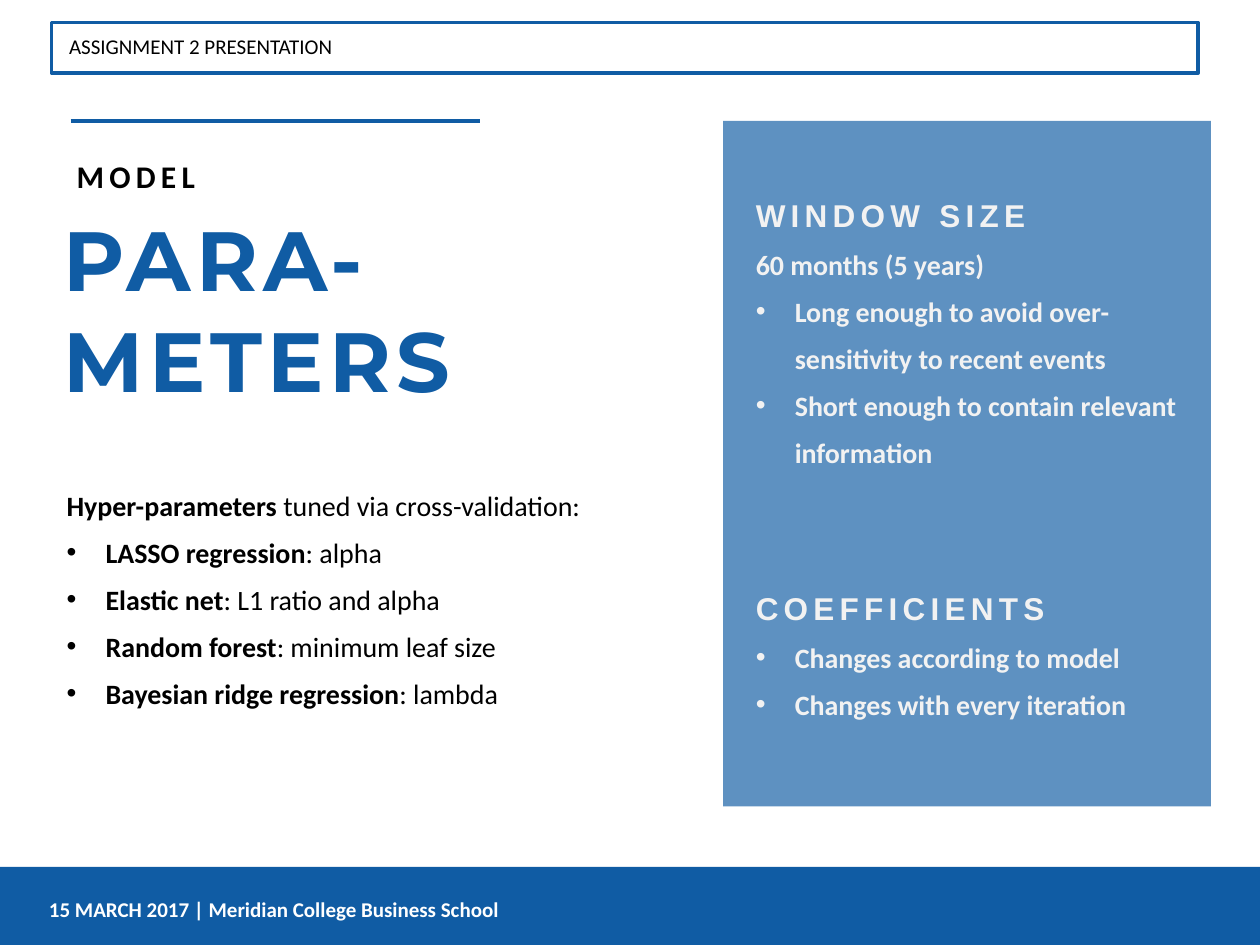
from dataclasses import dataclass
from typing import Optional

from lxml import etree
from pptx import Presentation
from pptx.dml.color import RGBColor
from pptx.enum.shapes import MSO_CONNECTOR, MSO_SHAPE
from pptx.enum.text import MSO_ANCHOR, MSO_AUTO_SIZE, PP_ALIGN
from pptx.oxml.ns import qn
from pptx.util import Emu, Inches, Pt

RECT, STRAIGHT = MSO_SHAPE.RECTANGLE, MSO_CONNECTOR.STRAIGHT
LEFT, TOP, FIT_SHAPE = PP_ALIGN.LEFT, MSO_ANCHOR.TOP, MSO_AUTO_SIZE.SHAPE_TO_FIT_TEXT

W, H = Inches(10), Inches(7.5)
COLORS = {"blue": "105CA4", "white": "FFFFFF", "black": "000000", "pale": "F2F2F2"}
LINE_WIDTH = Pt(2.08)
LOOSE = 1.4  # line spacing of the body text
INDENT = Inches(0.31)


@dataclass
class Box:
    """Position and size in percent of the slide."""
    x: float
    y: float
    w: float
    h: float

    def emu(self) -> list[Emu]:
        pairs = (self.x, W), (self.y, H), (self.w, W), (self.h, H)
        return [Emu(round(share * side / 100)) for share, side in pairs]


@dataclass
class Style:
    size: float
    color: str
    bold: bool = True
    font: str = "Calibri"
    tracking: float = 0


@dataclass
class Para:
    runs: list[tuple[str, Style]]
    spacing: float = 1.0
    bullet: bool = False
    before: float = 0


def rgb(name: str) -> RGBColor:
    return RGBColor.from_string(COLORS[name])


def add_rect(shapes, box: Box, fill: Optional[str] = None, line: Optional[str] = None,
             alpha: Optional[int] = None):
    sp = shapes.add_shape(RECT, *box.emu())
    sp.shadow.inherit = False
    if fill:
        sp.fill.solid()
        sp.fill.fore_color.rgb = rgb(fill)
    else:
        sp.fill.background()
    if line:
        sp.line.color.rgb = rgb(line)
        sp.line.width = LINE_WIDTH
    else:
        sp.line.fill.background()
    if alpha:
        color = sp.fill._xPr.find(".//" + qn("a:srgbClr"))
        etree.SubElement(color, qn("a:alpha"), val=str(alpha * 1000))
    return sp


def add_rule(shapes, x1: float, x2: float, y: float) -> None:
    x1, y, width, _ = Box(x1, y, x2 - x1, 0).emu()
    line = shapes.add_connector(STRAIGHT, x1, y, x1 + width, y)
    line.line.color.rgb = rgb("blue")
    line.line.width = LINE_WIDTH
    etree.SubElement(line._element.spPr, qn("a:effectLst"))


def set_bullet(p) -> None:
    pPr = p._p.get_or_add_pPr()
    pPr.set("marL", str(INDENT))
    pPr.set("indent", str(-INDENT))
    etree.SubElement(pPr, qn("a:buFont"), typeface="Arial")
    etree.SubElement(pPr, qn("a:buChar"), char="•")


def add_text(shapes, box: Box, paras: list[Para]) -> None:
    tf = shapes.add_textbox(*box.emu()).text_frame
    for name, value in {"word_wrap": True, "auto_size": FIT_SHAPE,
                        "vertical_anchor": TOP}.items():
        setattr(tf, name, value)
    for i, para in enumerate(paras):
        p = tf.paragraphs[0] if i == 0 else tf.add_paragraph()
        for name, value in {"alignment": LEFT, "line_spacing": para.spacing,
                            "space_before": Pt(para.before)}.items():
            setattr(p, name, value)
        if para.bullet:
            set_bullet(p)
        for text, style in para.runs:
            r = p.add_run()
            r.text = text
            for name, value in {"size": Pt(style.size), "bold": style.bold,
                                "name": style.font}.items():
                setattr(r.font, name, value)
            r.font.color.rgb = rgb(style.color)
            if style.tracking:
                r.font._element.set("spc", str(round(style.tracking * 100)))


def labelled(label: str, rest: str, bullet: bool = True) -> Para:
    return Para([(label, Style(16, "black")), (rest, Style(16, "black", False))],
                LOOSE, bullet)


def panel_head(text: str, before: float = 0) -> Para:
    return Para([(text, Style(18, "pale", font="Arial", tracking=3))], LOOSE, before=before)


def panel_line(text: str, bullet: bool = True) -> Para:
    return Para([(text, Style(16, "pale"))], LOOSE, bullet)


def main() -> None:
    prs = Presentation()
    prs.slide_width, prs.slide_height = W, H
    s = prs.slides.add_slide(prs.slide_layouts[6])
    shapes = s.shapes

    # Heading on the left
    add_rule(shapes, 5.6, 38.1, 12.8)
    add_text(shapes, Box(5.1, 16, 22.6, 5.33),
             [Para([("MODEL", Style(18, "black", tracking=3))])])
    title = Style(48, "blue", font="Montserrat", tracking=3)
    add_text(shapes, Box(4.1, 21.33, 71.7, 22.93),
             [Para([(word, title)]) for word in ("PARA-", "METERS")])

    # Footer band
    add_rect(shapes, Box(0, 91.73, 100, 8.27), fill="blue")
    add_text(shapes, Box(2.9, 94.27, 51.5, 4),
             [Para([("15 MARCH 2017 | Meridian College Business School", Style(12, "white"))])])

    # Header frame
    add_rect(shapes, Box(4.1, 2.4, 91, 5.33), line="blue")
    add_text(shapes, Box(4.5, 2.93, 91, 4),
             [Para([("ASSIGNMENT 2 PRESENTATION", Style(12, "black", False))])])

    # Panel on the right
    add_rect(shapes, Box(57.4, 12.8, 38.7, 72.53), fill="blue", alpha=67)
    add_text(shapes, Box(59, 18.53, 36.2, 70.13), [
        panel_head("WINDOW SIZE"),
        panel_line("60 months (5 years)", bullet=False),
        panel_line("Long enough to avoid over-sensitivity to recent events"),
        panel_line("Short enough to contain relevant information"),
        panel_head("COEFFICIENTS", before=60),
        panel_line("Changes according to model"),
        panel_line("Changes with every iteration"),
    ])

    # Tuned parameters
    add_text(shapes, Box(4.3, 49.6, 51.5, 26.53), [
        labelled("Hyper-parameters ", "tuned via cross-validation:", bullet=False),
        labelled("LASSO regression", ": alpha"),
        labelled("Elastic net", ": L1 ratio and alpha"),
        labelled("Random forest", ": minimum leaf size"),
        labelled("Bayesian ridge regression", ": lambda"),
    ])

    prs.save("out.pptx")


if __name__ == "__main__":
    main()
